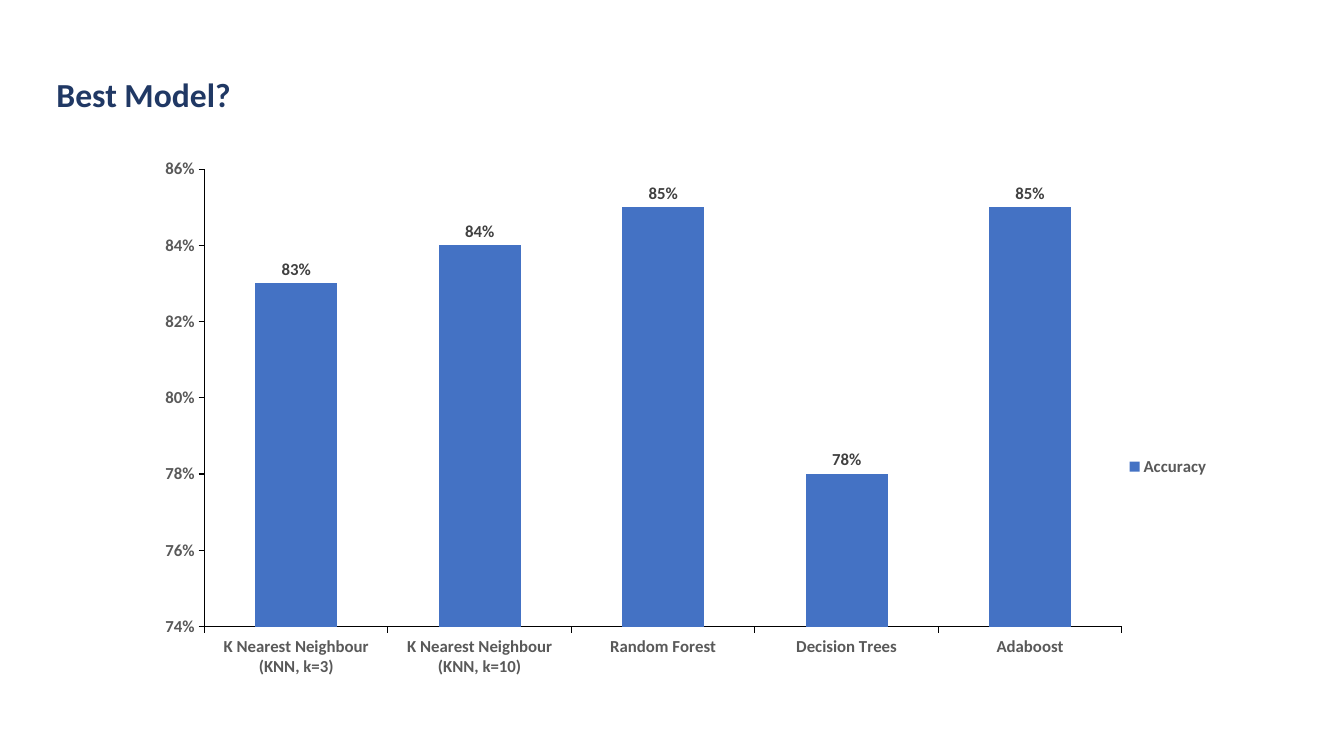
"""Build a slide that compares the accuracy of five models in a column chart."""
from dataclasses import dataclass

from lxml import etree
from pptx import Presentation
from pptx.chart.data import CategoryChartData
from pptx.dml.color import RGBColor
from pptx.enum.chart import XL_CHART_TYPE, XL_LABEL_POSITION, XL_LEGEND_POSITION, XL_TICK_MARK
from pptx.enum.text import MSO_ANCHOR, MSO_AUTO_SIZE, PP_ALIGN
from pptx.oxml.ns import qn
from pptx.util import Inches, Pt

COLUMN = XL_CHART_TYPE.COLUMN_CLUSTERED
OUTSIDE_END = XL_LABEL_POSITION.OUTSIDE_END
LEGEND_RIGHT = XL_LEGEND_POSITION.RIGHT
TICK_OUTSIDE, TICK_NONE = XL_TICK_MARK.OUTSIDE, XL_TICK_MARK.NONE
TOP, LEFT, NO_FIT = MSO_ANCHOR.TOP, PP_ALIGN.LEFT, MSO_AUTO_SIZE.NONE
TITLE_ONLY = 5

PERCENT = "0%"
ACCURACY = {
    "K Nearest Neighbour (KNN, k=3)": 0.83,
    "K Nearest Neighbour (KNN, k=10)": 0.84,
    "Random Forest": 0.85,
    "Decision Trees": 0.78,
    "Adaboost": 0.85,
}


@dataclass(frozen=True)
class Theme:
    font: str = "Calibri"
    title: str = "203864"
    axis_text: str = "595959"
    label_text: str = "404040"
    line: str = "000000"
    column: str = "4472C4"
    title_size: int = 24
    chart_size: int = 10
    label_size: int = 12


def format_font(font, name, size, color, bold=True):
    font.name, font.size, font.bold = name, Pt(size), bold
    font.color.rgb = RGBColor.from_string(color)


def write_text(paragraph, text, space_after=0, **font_format):
    paragraph.alignment = LEFT
    paragraph.line_spacing = 1.0
    paragraph.space_before, paragraph.space_after = Pt(0), Pt(space_after)
    run = paragraph.add_run()
    run.text = text
    format_font(run.font, **font_format)


def set_layout(parent, index, x, y, w, h, inner=False):
    for previous in parent.findall(qn("c:layout")):
        parent.remove(previous)
    layout = etree.Element(qn("c:layout"))
    parent.insert(index, layout)
    manual = etree.SubElement(layout, qn("c:manualLayout"))
    settings = {"layoutTarget": "inner"} if inner else {}
    settings.update(xMode="edge", yMode="edge", x=x, y=y, w=w, h=h)
    for tag, value in settings.items():
        etree.SubElement(manual, qn(f"c:{tag}")).set("val", str(value))


class SlideBuilder:
    def __init__(self, slide, theme):
        self.slide, self.theme = slide, theme

    def add_title(self, text, left, top, width, height):
        theme = self.theme
        title = self.slide.shapes.title
        title.left, title.top = Inches(left), Inches(top)
        title.width, title.height = Inches(width), Inches(height)
        frame = title.text_frame
        frame.margin_left = frame.margin_right = frame.margin_top = frame.margin_bottom = 0
        frame.vertical_anchor, frame.word_wrap, frame.auto_size = TOP, True, NO_FIT
        write_text(frame.paragraphs[0], text, space_after=10, name=theme.font,
                   size=theme.title_size, color=theme.title)

    def style_axis(self, axis):
        theme = self.theme
        axis.has_major_gridlines = False
        axis.major_tick_mark, axis.minor_tick_mark = TICK_OUTSIDE, TICK_NONE
        axis.format.line.width = Pt(0.75)
        axis.format.line.color.rgb = RGBColor.from_string(theme.line)
        format_font(axis.tick_labels.font, theme.font, theme.label_size, theme.axis_text)

    def add_legend(self, chart):
        theme = self.theme
        chart.has_legend = True
        chart.legend.position = LEGEND_RIGHT
        chart.legend.include_in_layout = False
        format_font(chart.legend.font, theme.font, theme.label_size, theme.axis_text)

    def add_column_chart(self, name, values, left, top, width, height):
        theme = self.theme
        data = CategoryChartData(number_format=PERCENT)
        data.categories = values.keys()
        data.add_series(name, values.values())
        chart = self.slide.shapes.add_chart(
            COLUMN, Inches(left), Inches(top), Inches(width), Inches(height), data).chart
        chart.has_title = False
        format_font(chart.font, theme.font, theme.chart_size, theme.line, bold=False)

        plot = chart.plots[0]
        plot.gap_width, plot.overlap, plot.vary_by_categories = 124, -30, False
        fill = plot.series[0].format.fill
        fill.solid()
        fill.fore_color.rgb = RGBColor.from_string(theme.column)
        labels = plot.series[0].data_labels
        labels.show_value, labels.position = True, OUTSIDE_END
        labels.number_format, labels.number_format_is_linked = PERCENT, False
        format_font(labels.font, theme.font, theme.label_size, theme.label_text)

        for axis in (chart.category_axis, chart.value_axis):
            self.style_axis(axis)
        scale = chart.value_axis
        scale.minimum_scale, scale.maximum_scale, scale.major_unit = 0.74, 0.86, 0.02
        scale.tick_labels.number_format = PERCENT
        scale.tick_labels.number_format_is_linked = False

        self.add_legend(chart)
        root = chart.element
        set_layout(root.find(".//" + qn("c:plotArea")), 0, 0.056, 0.037, 0.837, 0.85, inner=True)
        set_layout(root.find(".//" + qn("c:legend")), 1, 0.89, 0.56, 0.09, 0.06)


def main():
    presentation = Presentation()
    presentation.slide_width, presentation.slide_height = Inches(13.33), Inches(7.5)
    slide = presentation.slides.add_slide(presentation.slide_layouts[TITLE_ONLY])
    builder = SlideBuilder(slide, Theme())
    builder.add_title("Best Model?", 0.56, 0.73, 12.18, 0.83)
    builder.add_column_chart("Accuracy", ACCURACY, 1.42, 1.48, 10.87, 5.34)
    presentation.save("out.pptx")


if __name__ == "__main__":
    main()
